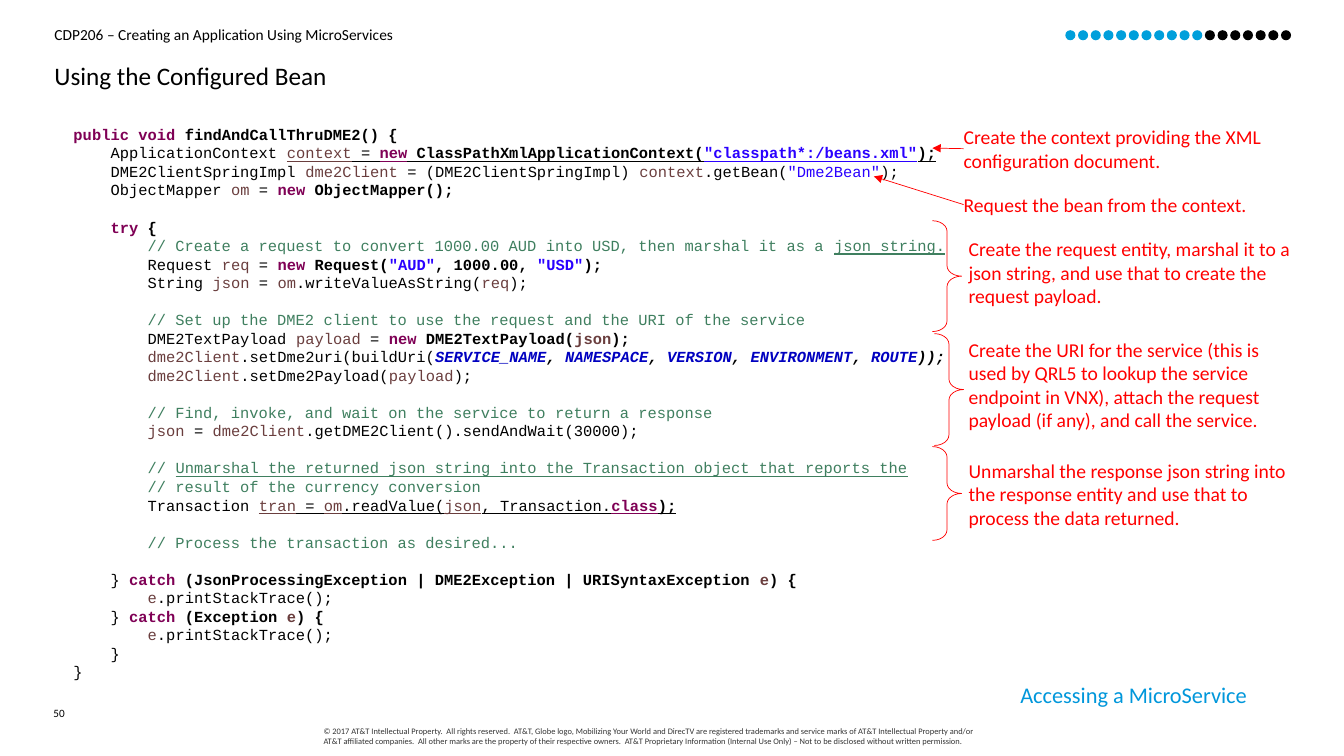
from pptx import Presentation
from pptx.dml.color import RGBColor
from pptx.enum.shapes import MSO_CONNECTOR, MSO_SHAPE
from pptx.enum.text import PP_ALIGN
from pptx.oxml import parse_xml
from pptx.oxml.ns import nsdecls
from pptx.util import Pt

OVAL, BRACE = MSO_SHAPE.OVAL, MSO_SHAPE.RIGHT_BRACE
STRAIGHT = MSO_CONNECTOR.STRAIGHT
RIGHT = PP_ALIGN.RIGHT

COLORS = {
    "black": "000000", "grey": "343434", "red": "FF0000",
    "blue": "009FDB", "section": "0097DB",
    "x": "000000", "k": "7F0055", "v": "6A3E3E",
    "s": "2A00FF", "c": "3F7F5F", "n": "0000C0",
}
FLAGS = {"b": "bold", "i": "italic", "u": "underline"}

# Content: text, box (left, top, width, height), size, colour, paragraph format
LABELS = [
    ("CDP206 – Creating an Application Using MicroServices",
     (38.9, 18, 882.7, 14.4), 11, "black", {}),
    ("© 2017 AT&T Intellectual Property.  All rights reserved.  AT&T, Globe logo, "
     "Mobilizing Your World and DirecTV are registered trademarks and service marks of "
     "AT&T Intellectual Property and/or AT&T affiliated companies.  All other marks are "
     "the property of their respective owners.  AT&T Proprietary Information (Internal "
     "Use Only) – Not to be disclosed without written permission.",
     (231.1, 518.4, 478.1, 15.1), 6, "grey", {}),
    ("50", (38.2, 504, 23, 18), 8, "black", {"line_spacing": Pt(10)}),
    ("Using the Configured Bean", (38.9, 41, 882.7, 26.6), 18, "black",
     {"line_spacing": 1.1, "space_after": Pt(10)}),
    ("Accessing a MicroService", (726.5, 486.7, 164.2, 19.4), 16, "section",
     {"alignment": RIGHT}),
]

# Code runs: text, then colour letter followed by flags; an empty line is a gap
CODE = [
    [("public void", "kb"), (" findAndCallThruDME2() {", "xb")],
    [("    ApplicationContext ", "x"), ("context", "vu"), (" = ", "xu"), ("new", "kbu"),
     (" ClassPathXmlApplicationContext(", "xbu"), ('"classpath*:/beans.xml"', "sbu"),
     (");", "xbu")],
    [("    DME2ClientSpringImpl ", "x"), ("dme2Client", "v"),
     (" = (DME2ClientSpringImpl) ", "x"), ("context", "v"), (".getBean(", "x"),
     ('"Dme2Bean"', "s"), (");", "x")],
    [("    ObjectMapper ", "x"), ("om", "v"), (" = ", "x"), ("new ", "kb"),
     ("ObjectMapper();", "xb")],
    [],
    [("    ", "x"), ("try", "kb"), (" {", "xb")],
    [("        // Create a request to convert 1000.00 AUD into USD, "
      "then marshal it as a ", "c"), ("json string.", "cu")],
    [("        Request ", "x"), ("req", "v"), (" = ", "x"), ("new", "kb"),
     (" Request(", "xb"), ('"AUD"', "sb"), (", 1000.00, ", "xb"), ('"USD"', "sb"),
     (");", "xb")],
    [("        String ", "x"), ("json", "v"), (" = ", "x"), ("om", "v"),
     (".writeValueAsString(", "x"), ("req", "v"), (");", "x")],
    [],
    [("        // Set up the DME2 client to use the request and the URI of the service",
      "c")],
    [("        DME2TextPayload ", "x"), ("payload", "v"), (" = ", "x"), ("new", "kb"),
     (" DME2TextPayload(", "xb"), ("json", "vb"), (");", "xb")],
    [("        ", "x"), ("dme2Client", "v"), (".setDme2uri(buildUri(", "x"),
     ("SERVICE_NAME", "nbi"), (", ", "xbi"), ("NAMESPACE", "nbi"), (", ", "xbi"),
     ("VERSION", "nbi"), (", ", "xbi"), ("ENVIRONMENT", "nbi"), (", ", "xbi"),
     ("ROUTE", "nbi"), ("));", "xbi")],
    [("        ", "x"), ("dme2Client", "v"), (".setDme2Payload(", "x"),
     ("payload", "v"), (");", "x")],
    [],
    [("        // Find, invoke, and wait on the service to return a response", "c")],
    [("        ", "x"), ("json", "v"), (" = ", "x"), ("dme2Client", "v"),
     (".getDME2Client().sendAndWait(30000);", "x")],
    [],
    [("        // ", "c"),
     ("Unmarshal the returned json string into the Transaction object that reports the",
      "cu")],
    [("        // result of the currency conversion", "c")],
    [("        Transaction ", "x"), ("tran", "vu"), (" = ", "xu"), ("om", "vu"),
     (".readValue(", "xu"), ("json", "vu"), (", Transaction.", "xu"), ("class", "kbu"),
     (");", "xbu")],
    [],
    [("        // Process the transaction as desired...", "c")],
    [],
    [("    } ", "x"), ("catch", "kb"),
     (" (JsonProcessingException | DME2Exception | URISyntaxException ", "xb"),
     ("e", "vb"), (") {", "xb")],
    [("        ", "x"), ("e", "v"), (".printStackTrace();", "x")],
    [("    } ", "x"), ("catch", "kb"), (" (Exception ", "xb"), ("e", "vb"),
     (") {", "xb")],
    [("        ", "x"), ("e", "v"), (".printStackTrace();", "x")],
    [("    }", "x")],
    [("}", "x")],
]
CODE_BOX, CODE_SIZE, CODE_PITCH = (45.4, 85.7, 677.5, 399.6), 11, 13.25

# Notes with an arrow: text, top, height, arrow tip
ARROW_NOTES = [
    ("Create the context providing the XML configuration document.",
     89.3, 33.8, (666, 105.8)),
    ("Request the bean from the context.", 137.5, 17.3, (624.2, 126)),
]
# Notes with a brace: text, top, height, brace (left, top, height)
BRACE_NOTES = [
    ("Create the request entity, marshal it to a json string, and use that to create "
     "the request payload.", 169.2, 51.1, (666, 157.7, 79.2)),
    ("Create the URI for the service (this is used by QRL5 to lookup the service "
     "endpoint in VNX), attach the request payload (if any), and call the service.",
     241.2, 67.7, (667.4, 238.3, 79.9)),
    ("Unmarshal the response json string into the response entity and use that to "
     "process the data returned.", 327.6, 51.1, (666, 319, 67)),
]
ARROW_NOTE_LEFT, BRACE_NOTE_LEFT, NOTE_WIDTH = 688.3, 691.9, 233.3
BRACE_WIDTH, LINE_WIDTH = 20.9, 0.5

DOTS = ["blue"] * 11 + ["black"] * 7
DOT_LEFT, DOT_TOP, DOT_SIZE, DOT_PITCH = 761, 21.6, 7.2, 9.06


def rgb(name):
    return RGBColor.from_string(COLORS[name])


def add_run(p, text, size, color, font="Calibri", **fmt):
    r = p.add_run()
    r.text = text
    r.font.color.rgb = rgb(color)
    for name, value in {"name": font, "size": Pt(size), **fmt}.items():
        setattr(r.font, name, value)


def add_box(s, box, inset=(0, 0)):
    sp = s.shapes.add_textbox(*map(Pt, box))
    tf = sp.text_frame
    tf.word_wrap = True
    tf.margin_left = tf.margin_right = Pt(inset[0])
    tf.margin_top = tf.margin_bottom = Pt(inset[1])
    return sp


def add_label(s, text, box, size, color, fmt):
    sp = add_box(s, box)
    p = sp.text_frame.paragraphs[0]
    for name, value in fmt.items():
        setattr(p, name, value)
    add_run(p, text, size, color)
    return sp


def add_note(s, text, left, top, height):
    return add_label(s, text, (left, top, NOTE_WIDTH, height), 14, "red", {})


def add_code(s):
    tf = add_box(s, CODE_BOX, (7.2, 3.6)).text_frame
    p, gap = tf.paragraphs[0], 0
    for i, line in enumerate(CODE):
        if not line:
            gap += CODE_PITCH
            continue
        if i:
            p = tf.add_paragraph()
        p.line_spacing = Pt(CODE_PITCH)
        if gap:
            p.space_before = Pt(gap)
            gap = 0
        for text, style in line:
            flags = {FLAGS[f]: True for f in style[1:]}
            add_run(p, text, CODE_SIZE, style[0], "Courier New", **flags)


def add_arrow(s, note, tip):
    cn = s.shapes.add_connector(STRAIGHT, 0, 0, *map(Pt, tip))
    cn.begin_connect(note, 1)
    cn.line.color.rgb = rgb("red")
    cn.line.width = Pt(LINE_WIDTH)
    cn.line._get_or_add_ln().append(
        parse_xml(f'<a:tailEnd {nsdecls("a")} type="triangle"/>'))
    cn._element.spPr.append(parse_xml(f'<a:effectLst {nsdecls("a")}/>'))


def add_brace(s, left, top, height):
    sp = s.shapes.add_shape(BRACE, *map(Pt, (left, top, BRACE_WIDTH, height)))
    sp.shadow.inherit = False
    sp.adjustments[0], sp.adjustments[1] = 0.36, 0.5
    sp.fill.background()
    sp.line.color.rgb = rgb("red")
    sp.line.width = Pt(LINE_WIDTH)


def add_dot(s, i, color):
    box = (DOT_LEFT + i * DOT_PITCH, DOT_TOP, DOT_SIZE, DOT_SIZE)
    sp = s.shapes.add_shape(OVAL, *map(Pt, box))
    sp.shadow.inherit = False
    sp.fill.solid()
    sp.fill.fore_color.rgb = rgb(color)
    sp.line.fill.background()


def main():
    prs = Presentation()
    prs.slide_width, prs.slide_height = Pt(960), Pt(540)
    s = prs.slides.add_slide(prs.slide_layouts[6])
    # Header, title, footer and section name
    for label in LABELS:
        add_label(s, *label)
    # Code listing
    add_code(s)
    # Notes beside the code
    for text, top, height, tip in ARROW_NOTES:
        add_arrow(s, add_note(s, text, ARROW_NOTE_LEFT, top, height), tip)
    for text, top, height, brace in BRACE_NOTES:
        add_brace(s, *brace)
        add_note(s, text, BRACE_NOTE_LEFT, top, height)
    # Row of dots
    for i, color in enumerate(DOTS):
        add_dot(s, i, color)
    prs.save("out.pptx")


if __name__ == "__main__":
    main()
